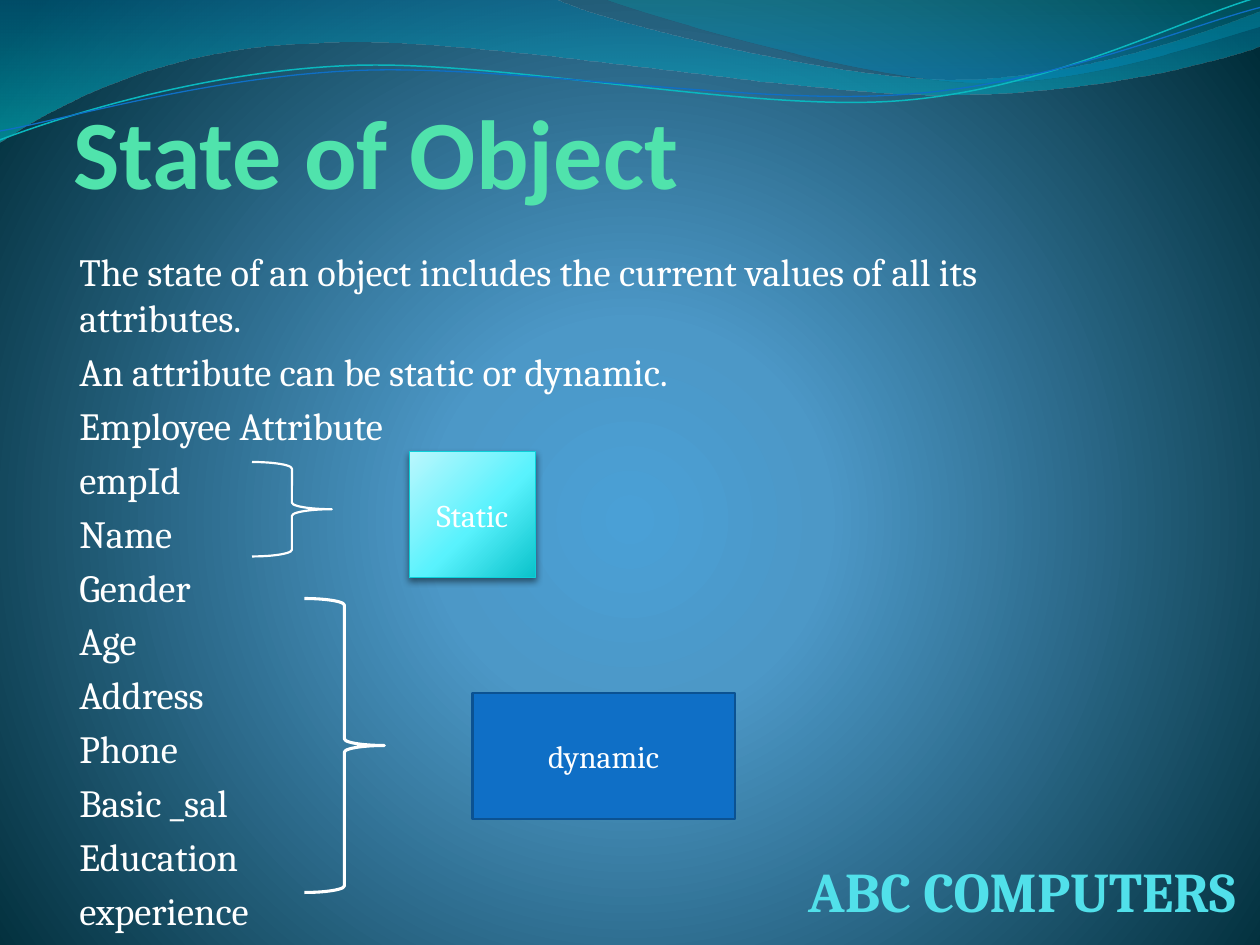
from dataclasses import dataclass
import math

import lxml.etree
import pptx
import pptx.dml.color
import pptx.enum.shapes
import pptx.enum.text
import pptx.oxml.ns
import pptx.util

ALIGN = pptx.enum.text.PP_ALIGN
ANCHOR = pptx.enum.text.MSO_ANCHOR
SHAPE = pptx.enum.shapes.MSO_SHAPE
Inches = pptx.util.Inches
Pt = pptx.util.Pt
qn = pptx.oxml.ns.qn


@dataclass(frozen=True)
class Theme:
    heading_font: str = "Calibri"
    body_font: str = "Cambria"
    title_size: int = 56
    body_size: int = 22
    label_size: int = 18
    footer_size: int = 32
    white: str = "FFFFFF"
    title: str = "50E3AC"
    footer: str = "51E0EA"
    blue: str = "0F6FC6"
    blue_edge: str = "0B5292"
    cyan_edge: str = "0BD0D9"
    # Gradient stops: position %, colour, opacity %
    background: tuple = ((0, "4AA0D6", 100), (25, "4C98C7", 100), (100, "002C38", 100))
    static: tuple = ((0, "BBF7FD", 100), (55, "59F2FD", 100), (100, "0AC2CA", 100))
    wide_wave: tuple = ((0, "0074A1", 45), (100, "00C6CF", 55))
    right_wave: tuple = ((0, "00A1A9", 30), (80, "008BBF", 45))


THEME = Theme()
WIDTH, HEIGHT = 10, 7.5
UNIT = WIDTH / 24  # the diagram sits on a 24-column grid of square cells

TITLE = "State of Object"
BODY = [
    "The state of an object includes the current values of all its attributes.",
    "An attribute can be static or dynamic.",
    "Employee Attribute",
    "empId", "Name", "Gender", "Age", "Address", "Phone",
    "Basic _sal", "Education", "experience",
]
BODY_GAP = 20  # % of a line
FOOTER = "ABC COMPUTERS"

# Grid column, row, columns, rows, line width
BRACES = [(4.8, 8.8, 1.52, 1.8, 1.25), (5.8, 11.4, 1.52, 5.6, 1.75)]
STATIC_CELL = (7.8, 8.6, 2.4, 2.4)
DYNAMIC_CELL = (9, 13.2, 5, 2.4)

# A point pair is a straight step; six numbers are a cubic curve
WAVES = [
    ([(0, 0), (4.4, -0.01), (4.76, 0.17, 6.64, 0.63, 7.58, 0.63),
      (8.53, 0.63, 9.58, 0.26, 10, 0.09), (10.01, 0.36),
      (9.83, 0.44, 8.7, 0.76, 7.46, 0.75), (6.22, 0.75, 3.82, 0.28, 2.57, 0.34),
      (1.29, 0.36, 0.46, 0.83, -0.01, 1.13), (0, 0)], THEME.wide_wave),
    ([(4.79, -0.01), (5.09, 0.11, 6.82, 0.62, 7.69, 0.65),
      (8.56, 0.69, 9.61, 0.32, 10, 0.21), (10, 0), (4.79, -0.01)], THEME.right_wave),
]
STRAND_TILT = -2.7
# Steps, turning point, colour, line width
STRANDS = [
    ([(0, 1.11), (0.48, 0.93, 1.58, 0.57, 2.77, 0.52), (3.95, 0.47, 5.93, 0.89, 7.13, 0.8),
      (8.33, 0.71, 9.38, 0.15, 9.98, -0.02)], (4.99, 0.575), "0AB8BF", 0.85),
    ([(0, 1.04), (0.47, 0.96, 1.64, 0.61, 2.83, 0.56), (4.03, 0.51, 5.97, 0.84, 7.17, 0.75),
      (8.36, 0.67, 9.41, 0.21, 10, 0.06)], (5, 0.59), THEME.blue, 0.75),
]


def rgb(value):
    return pptx.dml.color.RGBColor.from_string(value)


def child(parent, tag, **attributes):
    return lxml.etree.SubElement(
        parent, qn(tag), {name: str(value) for name, value in attributes.items()})


def color_node(parent, color, opacity):
    node = child(parent, "a:srgbClr", val=color)
    if opacity < 100:
        child(node, "a:alpha", val=opacity * 1000)


def set_gradient(fill, root, stops, center=None):
    """Fill top to bottom, or radially towards center (left, top, right, bottom in %)."""
    fill.gradient()
    gradient = next(root.iter(qn("a:gradFill")))
    for node in list(gradient):
        gradient.remove(node)
    stop_list = child(gradient, "a:gsLst")
    for position, color, opacity in stops:
        color_node(child(stop_list, "a:gs", pos=position * 1000), color, opacity)
    if center:
        radial = child(gradient, "a:path", path="circle")
        child(radial, "a:fillToRect",
              **{side: share * 1000 for side, share in zip("ltrb", center)})
    else:
        child(gradient, "a:lin", ang=90 * 60000, scaled=1)


def set_line(shape, color, width):
    shape.line.color.rgb = rgb(color)
    shape.line.width = Pt(width)


def turn(step, center, degrees):
    """Turn every point of a step clockwise around center."""
    cosine, sine = math.cos(math.radians(degrees)), math.sin(math.radians(degrees))
    turned = []
    for x, y in zip(step[::2], step[1::2]):
        dx, dy = x - center[0], y - center[1]
        turned += [center[0] + cosine * dx - sine * dy, center[1] + sine * dx + cosine * dy]
    return turned


def add_outline(slide, steps, close):
    """Draw a freeform, joining the three points of each curve step into a cubic."""
    points = [(Inches(x), Inches(y)) for step in steps for x, y in zip(step[::2], step[1::2])]
    builder = slide.shapes.build_freeform(*points[0], scale=1.0)
    builder.add_line_segments(points[1:], close=close)
    shape = builder.convert_to_shape()
    shape.shadow.inherit = False
    lines = iter(list(shape.element.iter(qn("a:lnTo"))))
    for step in steps[1:]:
        first = next(lines)
        if len(step) == 6:
            first.tag = qn("a:cubicBezTo")
            for line in (next(lines), next(lines)):
                first.append(line[0])
                line.getparent().remove(line)
    return shape


def add_cell_shape(slide, kind, cell):
    shape = slide.shapes.add_shape(kind, *(Inches(UNIT * part) for part in cell))
    shape.shadow.inherit = False
    return shape


def write(shape, lines, size, color, font=THEME.body_font, bold=False,
          align=ALIGN.LEFT, anchor=ANCHOR.TOP, inset=None, gap=0):
    frame = shape.text_frame
    frame.word_wrap = True
    frame.vertical_anchor = anchor
    if inset is not None:
        frame.margin_left = frame.margin_right = Inches(inset)
        frame.margin_top = frame.margin_bottom = Inches(inset)
    for index, line in enumerate(lines):
        paragraph = frame.add_paragraph() if index else frame.paragraphs[0]
        paragraph.alignment = align
        if index and gap:
            before = child(paragraph._p.get_or_add_pPr(), "a:spcBef")
            child(before, "a:spcPct", val=gap * 1000)
        run = paragraph.add_run()
        run.text = line
        run.font.name, run.font.size, run.font.bold = font, Pt(size), bold
        run.font.color.rgb = rgb(color)


def add_text(slide, left, top, width, height, lines, size, color, **options):
    box = slide.shapes.add_textbox(Inches(left), Inches(top), Inches(width), Inches(height))
    write(box, lines, size, color, **options)
    return box


def add_drop_shadow(shape):
    effects = shape.element.spPr.find(qn("a:effectLst"))
    shadow = child(effects, "a:outerShdw", blurRad=Pt(4), dist=Pt(2),
                   dir=90 * 60000, rotWithShape=0)
    color_node(shadow, "000000", 45)


def main():
    presentation = pptx.Presentation()
    presentation.slide_width, presentation.slide_height = Inches(WIDTH), Inches(HEIGHT)
    slide = presentation.slides.add_slide(presentation.slide_layouts[6])
    set_gradient(slide.background.fill, slide.element, THEME.background, (10, 110, 10, 100))

    for steps, stops in WAVES:
        wave = add_outline(slide, steps, close=True)
        set_gradient(wave.fill, wave.element, stops)
        wave.line.fill.background()
    for steps, center, color, width in STRANDS:
        level = [turn(step, center, -STRAND_TILT) for step in steps]
        strand = add_outline(slide, level, close=False)
        strand.rotation = STRAND_TILT
        strand.fill.background()
        set_line(strand, color, width)

    add_text(slide, 0.58, 0.17, 8.5, 1.49, [TITLE], THEME.title_size, THEME.title,
             font=THEME.heading_font, bold=True, anchor=ANCHOR.BOTTOM, inset=0)
    add_text(slide, 0.58, 1.92, 8.5, 5.33, BODY, THEME.body_size, THEME.white,
             inset=0.05, gap=BODY_GAP)

    for *cell, width in BRACES:
        brace = add_cell_shape(slide, SHAPE.RIGHT_BRACE, cell)
        brace.fill.background()
        set_line(brace, THEME.white, width)
    static = add_cell_shape(slide, SHAPE.RECTANGLE, STATIC_CELL)
    set_gradient(static.fill, static.element, THEME.static, (-40, -90, 140, 190))
    set_line(static, THEME.cyan_edge, 0.75)
    add_drop_shadow(static)
    dynamic = add_cell_shape(slide, SHAPE.RECTANGLE, DYNAMIC_CELL)
    dynamic.fill.solid()
    dynamic.fill.fore_color.rgb = rgb(THEME.blue)
    set_line(dynamic, THEME.blue_edge, 1.5)
    for shape, label in ((static, "Static"), (dynamic, "dynamic")):
        write(shape, [label], THEME.label_size, THEME.white,
              align=ALIGN.CENTER, anchor=ANCHOR.MIDDLE)

    footer = add_text(slide, 5.91, 6.75, 4, 0.64, [FOOTER], THEME.footer_size,
                      THEME.footer, bold=True, align=ALIGN.RIGHT)
    footer.text_frame.auto_size = pptx.enum.text.MSO_AUTO_SIZE.SHAPE_TO_FIT_TEXT
    presentation.save("out.pptx")


if __name__ == "__main__":
    main()
